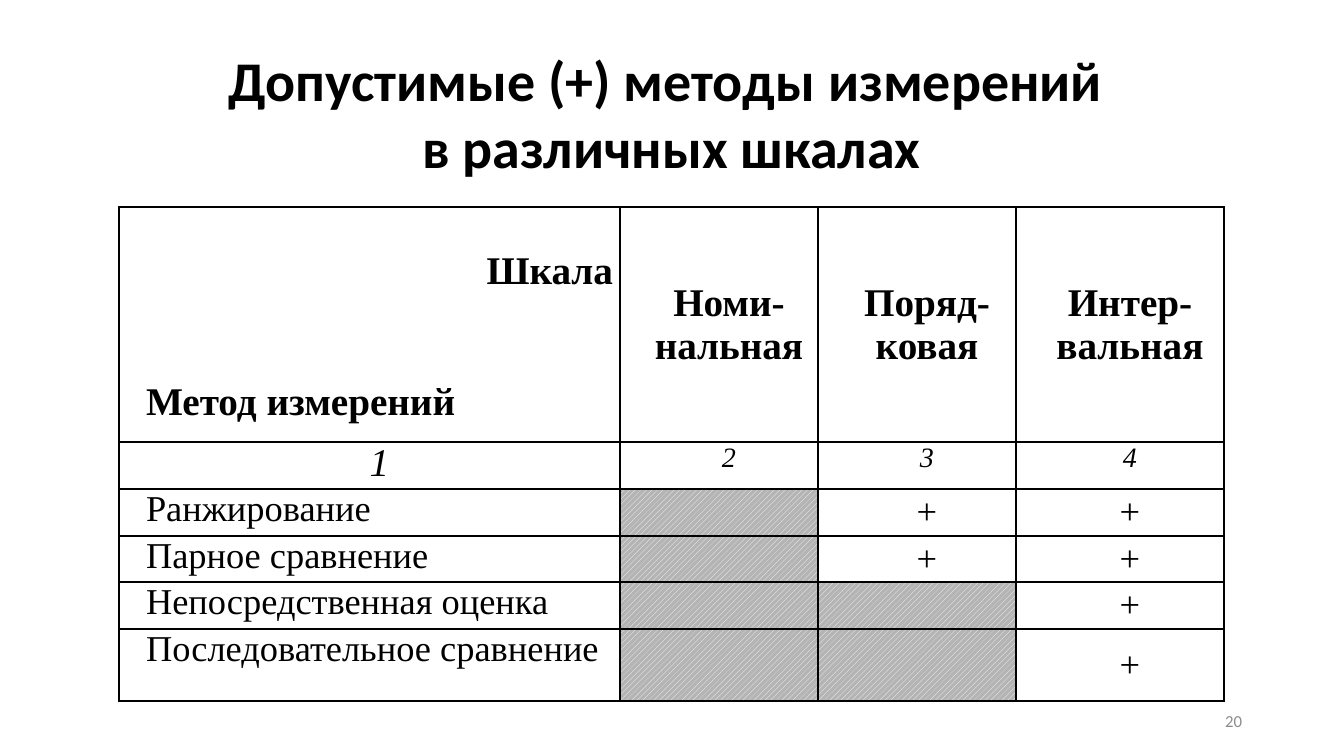
import pptx
import pptx.util
import pptx.dml.color
import pptx.enum.text
import pptx.oxml.ns
import lxml.etree

ALIGN = pptx.enum.text.PP_ALIGN
ANCHOR = pptx.enum.text.MSO_ANCHOR
SERIF = "Times New Roman"

COLS = [501, 198, 198, 208]
ROWS = [235, 47, 47, 46, 47, 72]
SCALES = ["Номи-нальная", "Поряд-ковая", "Интер-вальная"]
# Method and the first scale that permits it
METHODS = [
    ("Ранжирование", 2),
    ("Парное сравнение", 2),
    ("Непосредственная оценка", 3),
    ("Последовательное сравнение", 3),
]
# Line weights above and below each row
RULES = [1, 1.5, 2.25, 1, 1, 1, 1]


def px(n):
    return pptx.util.Emu(round(n * 914400 / 100.8))


def color(code):
    return pptx.dml.color.RGBColor.from_string(code)


def style(para, size, align, face=SERIF, bold=False, slant=False, ink="000000"):
    para.alignment = align
    font = para.font
    font.name, font.size = face, pptx.util.Pt(size)
    font.bold, font.italic = bold, slant
    font.color.rgb = color(ink)


def indent(para):
    props = para._p.get_or_add_pPr()
    props.set("marL", str(px(20)))
    props.set("indent", "0")


def border(cell, top, low):
    props = cell._tc.get_or_add_tcPr()
    sides = [("lnL", 1), ("lnR", 1), ("lnT", top), ("lnB", low)]
    for i, (side, width) in enumerate(sides):
        line = lxml.etree.Element(pptx.oxml.ns.qn("a:" + side))
        line.set("w", str(pptx.util.Pt(width)))
        fill = lxml.etree.SubElement(line, pptx.oxml.ns.qn("a:solidFill"))
        tint = lxml.etree.SubElement(fill, pptx.oxml.ns.qn("a:srgbClr"))
        tint.set("val", "000000")
        props.insert(i, line)


def hatch(cell):
    cell.fill.patterned()
    cell.fill.fore_color.rgb = color("FFFFFF")
    cell.fill.back_color.rgb = color("B4B4B4")
    props = cell._tc.get_or_add_tcPr()
    props.find(pptx.oxml.ns.qn("a:pattFill")).set("prst", "upDiag")


def write(cell, text, size, align=ALIGN.CENTER, anchor=ANCHOR.MIDDLE, **looks):
    para = cell.text_frame.paragraphs[0]
    para.text = text
    style(para, size, align, **looks)
    indent(para)
    cell.vertical_anchor = anchor


def header(table):
    # Corner cell names both axes
    corner = table.cell(0, 0)
    write(corner, "Шкала", 28, ALIGN.RIGHT, ANCHOR.TOP, bold=True)
    corner.margin_top = px(43)
    para = corner.text_frame.add_paragraph()
    para.text = "Метод измерений"
    style(para, 28, ALIGN.LEFT, bold=True)
    indent(para)
    para.space_before = pptx.util.Pt(62)
    # Scale names
    for c, name in enumerate(SCALES, 1):
        cell = table.cell(0, c)
        cell.margin_left = cell.margin_right = 0
        write(cell, name, 28, bold=True)
    # Column numbers
    for c in range(len(COLS)):
        write(table.cell(1, c), str(c + 1), 20 if c else 28,
              anchor=ANCHOR.TOP, slant=True)


def body(table):
    for r, (name, first) in enumerate(METHODS, 2):
        write(table.cell(r, 0), name, 26, ALIGN.LEFT, ANCHOR.TOP)
        for c in range(1, len(COLS)):
            if c < first:
                hatch(table.cell(r, c))
            else:
                write(table.cell(r, c), "+", 26)


def grid(slide, x, y):
    frame = slide.shapes.add_table(len(ROWS), len(COLS), px(x), px(y),
                                   px(sum(COLS)), px(sum(ROWS)))
    table = frame.table
    table.first_row = table.horz_banding = False
    for col, width in zip(table.columns, COLS):
        col.width = px(width)
    for r, (row, height) in enumerate(zip(table.rows, ROWS)):
        row.height = px(height)
        for cell in row.cells:
            cell.margin_left = cell.margin_right = px(7)
            cell.margin_top = cell.margin_bottom = 0
            cell.fill.background()
            border(cell, RULES[r], RULES[r + 1])
    header(table)
    body(table)


def title(slide, x, y, w, h):
    head = slide.shapes.title
    head.left, head.top, head.width, head.height = map(px, (x, y, w, h))
    frame = head.text_frame
    frame.word_wrap = True
    frame.vertical_anchor = ANCHOR.MIDDLE
    para = frame.paragraphs[0]
    para.text = "Допустимые (+) методы измерений \vв различных шкалах"
    style(para, 40, ALIGN.CENTER, "Calibri", bold=True)


def number(slide, x, y, w, h):
    box = slide.shapes.add_textbox(*map(px, (x, y, w, h)))
    frame = box.text_frame
    frame.word_wrap = True
    frame.vertical_anchor = ANCHOR.MIDDLE
    para = frame.paragraphs[0]
    para.text = "20"
    style(para, 12, ALIGN.RIGHT, "Calibri", ink="8C8C8C")


def main():
    deck = pptx.Presentation()
    deck.slide_width, deck.slide_height = px(1344), px(756)
    slide = deck.slides.add_slide(deck.slide_layouts[5])
    title(slide, 92, 40, 1159, 146)
    grid(slide, 119, 207)
    number(slide, 950, 701, 302, 40)
    deck.save("out.pptx")


if __name__ == "__main__":
    main()
